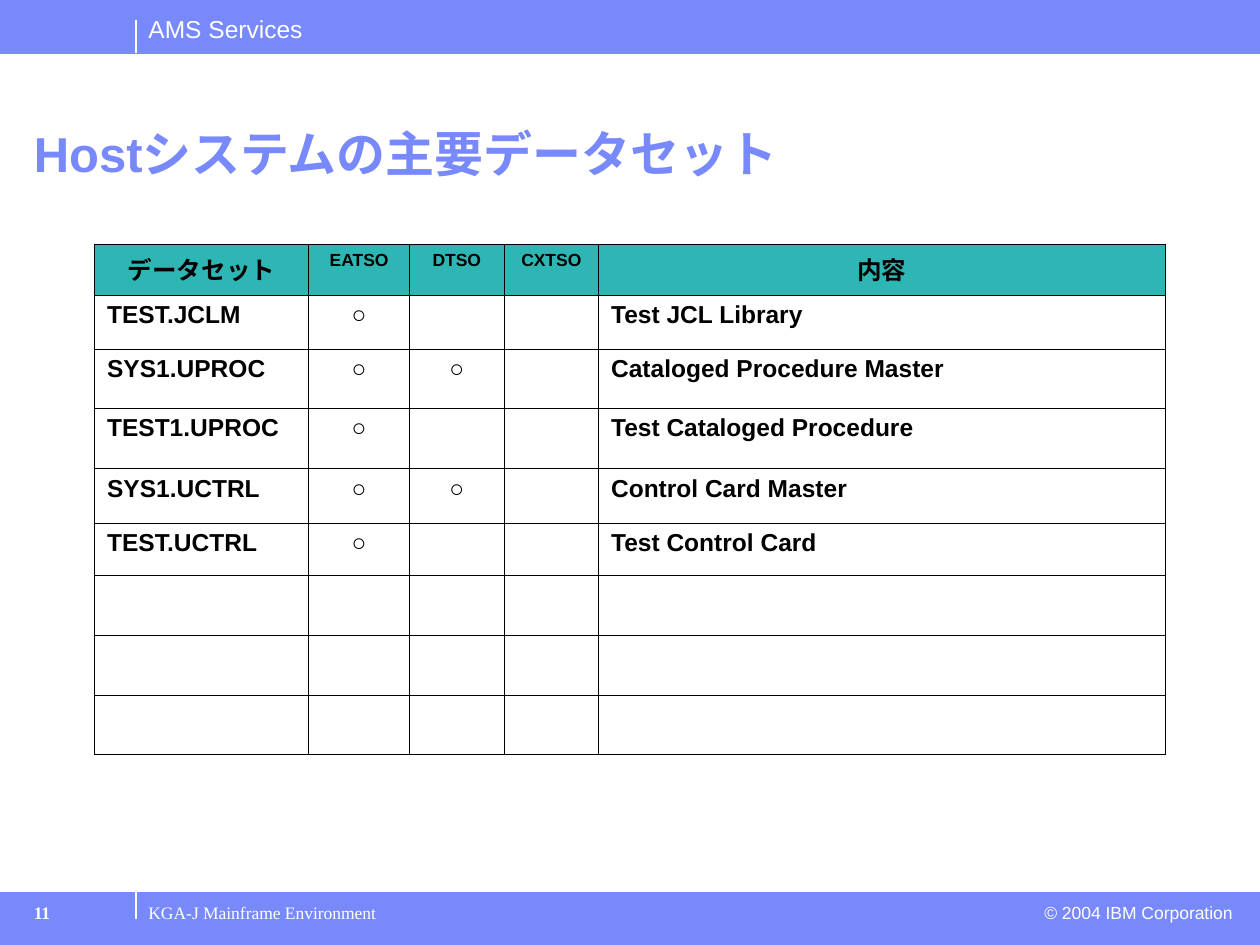
from lxml import etree
from pptx import Presentation, util as u
from pptx.dml import color
from pptx.enum import shapes, text
from pptx.oxml import ns

BLUE, TEAL, WHITE, BLACK = "7889FB", "2DB6B3", "FFFFFF", "000000"
SANS, SERIF = "Arial", "Times New Roman"
LEFT, CENTER, RIGHT = text.PP_ALIGN.LEFT, text.PP_ALIGN.CENTER, text.PP_ALIGN.RIGHT


def rgb(value):
    return color.RGBColor.from_string(value)


def write(frame, content, size=14, font=SANS, ink=BLACK, bold=False,
          align=LEFT, spacing=None):
    paragraph = frame.paragraphs[0]
    paragraph.alignment = align
    if spacing:
        paragraph.line_spacing = spacing
    run = paragraph.add_run()
    run.text = content
    run.font.size = u.Pt(size)
    run.font.name = font
    run.font.bold = bold
    run.font.color.rgb = rgb(ink)


class SlideBuilder:
    outer_border, inner_border = 1.08, 0.45

    def __init__(self, slide):
        self.slide = slide

    def band(self, top, height):
        shape = self.slide.shapes.add_shape(
            shapes.MSO_SHAPE.RECTANGLE, 0, u.Inches(top), u.Inches(10), u.Inches(height))
        shape.shadow.inherit = False
        shape.fill.solid()
        shape.fill.fore_color.rgb = rgb(BLUE)
        shape.line.color.rgb = rgb(BLUE)
        shape.line.width = u.Pt(0.25)

    def divider(self, left, top, bottom):
        line = self.slide.shapes.add_connector(
            shapes.MSO_CONNECTOR.STRAIGHT,
            u.Inches(left), u.Inches(top), u.Inches(left), u.Inches(bottom))
        line.line.color.rgb = rgb(WHITE)
        line.line.width = u.Pt(0.75)
        etree.SubElement(line._element.spPr, ns.qn("a:effectLst"))

    def label(self, content, left, top, width, height,
              anchor=text.MSO_ANCHOR.TOP, **style):
        box = self.slide.shapes.add_textbox(
            u.Inches(left), u.Inches(top), u.Inches(width), u.Inches(height))
        box.text_frame.word_wrap = True
        box.text_frame.vertical_anchor = anchor
        write(box.text_frame, content, **style)

    def border(self, cell, side, width):
        properties = cell._tc.get_or_add_tcPr()
        line = etree.SubElement(properties, ns.qn(f"a:ln{side}"), w=str(int(u.Pt(width))))
        fill = etree.SubElement(line, ns.qn("a:solidFill"))
        etree.SubElement(fill, ns.qn("a:srgbClr"), val=BLACK)

    def table(self, left, top, columns, heights, rows):
        table = self.slide.shapes.add_table(
            len(heights), len(columns), u.Inches(left), u.Inches(top),
            u.Inches(sum(columns)), u.Inches(sum(heights))).table
        table.first_row = table.horz_banding = False
        for column, width in zip(table.columns, columns):
            column.width = u.Inches(width)
        last_row, last_column = len(heights) - 1, len(columns) - 1
        for i, height in enumerate(heights):
            table.rows[i].height = u.Inches(height)
            for j in range(len(columns)):
                cell = table.cell(i, j)
                edges = {"L": j == 0, "R": j == last_column,
                         "T": i == 0, "B": i == last_row}
                # Borders precede the fill in the cell properties
                for side, outer in edges.items():
                    self.border(cell, side, self.outer_border if outer else self.inner_border)
                if i == 0:
                    cell.fill.solid()
                    cell.fill.fore_color.rgb = rgb(TEAL)
                else:
                    cell.fill.background()
                content = rows[i][j] if i < len(rows) else ""
                if content:
                    middle = 0 < j < last_column
                    write(cell.text_frame, content, bold=True,
                          size=10 if i == 0 and middle else 14,
                          align=CENTER if i == 0 or middle else LEFT)


def main():
    presentation = Presentation()
    presentation.slide_width, presentation.slide_height = u.Inches(10), u.Inches(7.5)
    builder = SlideBuilder(presentation.slides.add_slide(presentation.slide_layouts[6]))

    # Header and footer bands
    for top in (0, 7.08):
        builder.band(top, 0.42)
    builder.label("AMS Services", 1.08, 0.06, 1.5, 0.34, ink=WHITE)
    builder.label("© 2004 IBM Corporation", 6.26, 7.11, 3.62, 0.27,
                  size=10, ink=WHITE, align=RIGHT)
    builder.divider(1.08, 0.16, 0.42)
    builder.divider(1.08, 7.08, 7.29)

    # Title
    builder.label("Hostシステムの主要データセット", 0.17, 0.95, 9.02, 0.55,
                  anchor=text.MSO_ANCHOR.BOTTOM, size=28, ink=BLUE, bold=True, spacing=0.9)

    # Data set table, with spare rows at the end
    builder.table(
        0.75, 1.94, [1.7, 0.8, 0.75, 0.75, 4.5],
        [0.4, 0.43, 0.47, 0.48, 0.43, 0.42, 0.47, 0.48, 0.47],
        [("データセット", "EATSO", "DTSO", "CXTSO", "内容"),
         ("TEST.JCLM", "○", "", "", "Test JCL Library"),
         ("SYS1.UPROC", "○", "○", "", "Cataloged Procedure Master"),
         ("TEST1.UPROC", "○", "", "", "Test Cataloged Procedure"),
         ("SYS1.UCTRL", "○", "○", "", "Control Card Master"),
         ("TEST.UCTRL", "○", "", "", "Test Control Card")])

    # Footer text and page number
    builder.label("KGA-J Mainframe Environment", 1.08, 7.11, 4.17, 0.27,
                  size=10, font=SERIF, ink=WHITE)
    builder.label("11", 0.17, 7.11, 1.1, 0.35, size=10, font=SERIF, ink=WHITE, bold=True)

    presentation.save("out.pptx")


if __name__ == "__main__":
    main()
